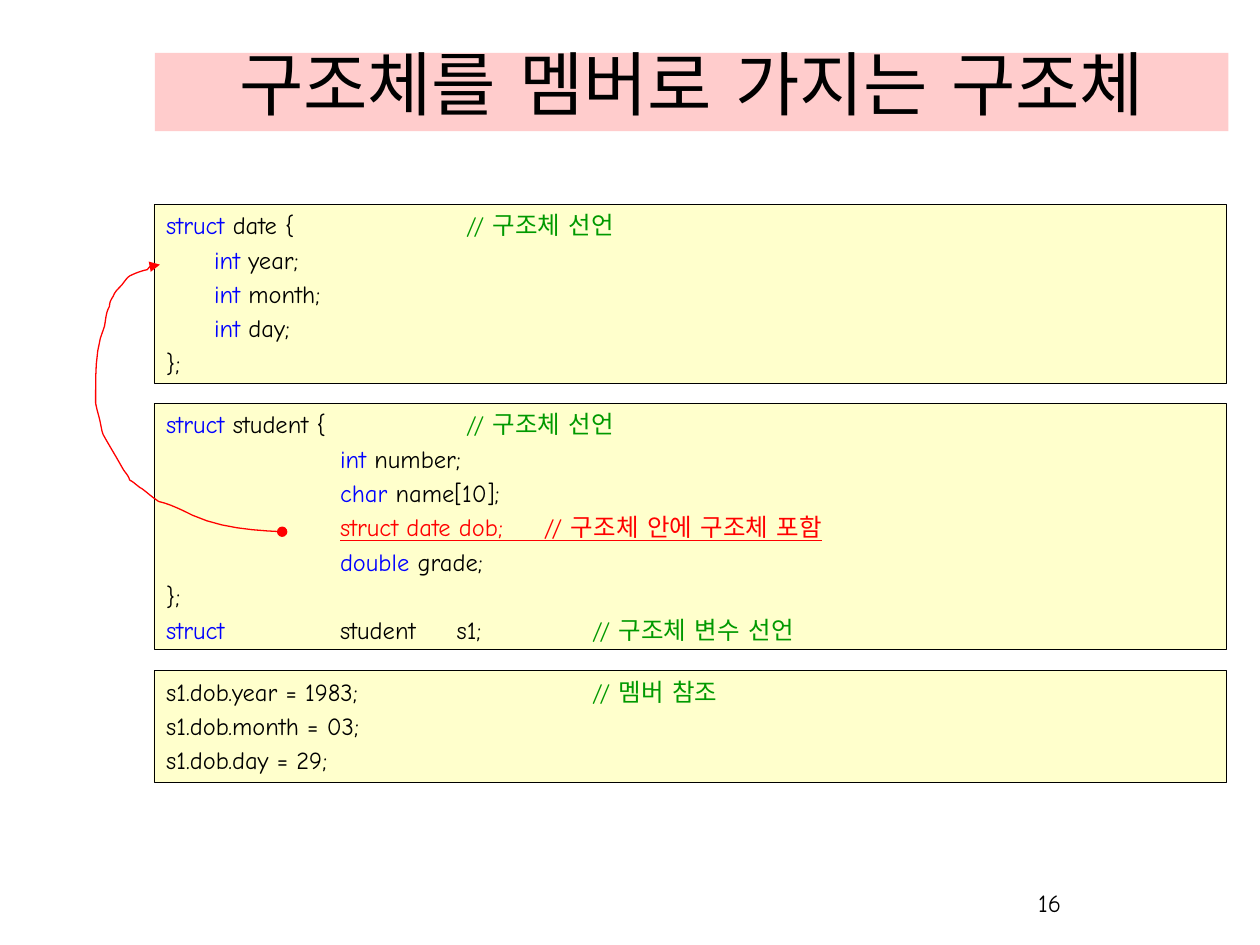
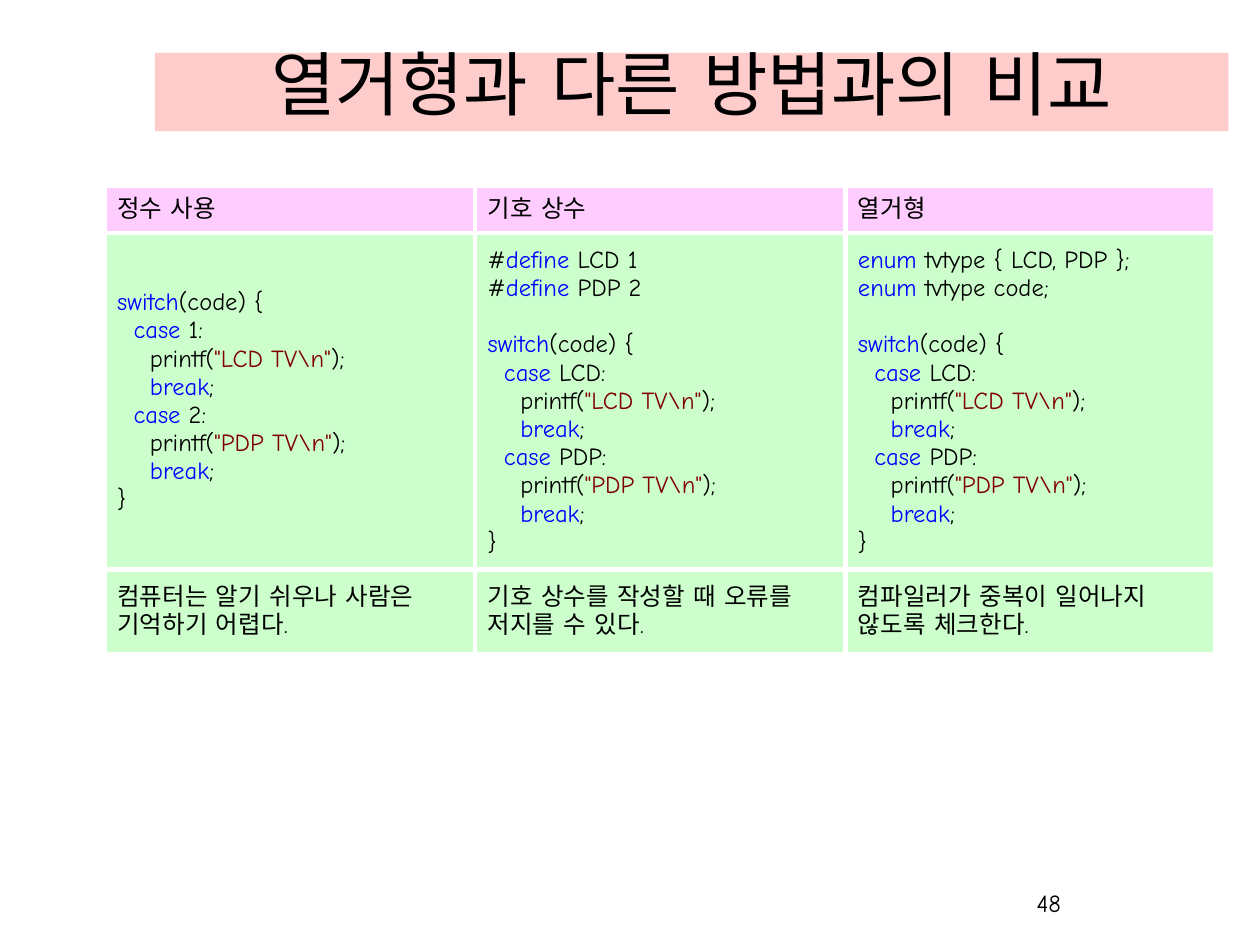
from lxml.etree import SubElement as Sub
from pptx import Presentation
from pptx.dml.color import RGBColor as RGB
from pptx.enum.shapes import MSO_SHAPE as SHAPE
from pptx.enum.text import MSO_ANCHOR as ANCHOR, PP_ALIGN as ALIGN
from pptx.oxml.ns import qn
from pptx.util import Inches, Pt

FONT = "Comic Neue"
BLACK = RGB(0, 0, 0)
BLUE = RGB(0, 0, 255)
GREEN = RGB(0, 153, 0)
MAROON = RGB(128, 0, 0)
RED = RGB(255, 0, 0)
PINK = RGB(255, 204, 204)
CREAM = RGB(255, 255, 204)
LILAC = RGB(255, 204, 255)
MINT = RGB(204, 255, 204)

KEYS = {"struct", "int", "char", "double", "switch", "case", "break", "define", "enum"}
WARN = "struct date dob;"

BOXES = [
    (1.62, 1.42, [
        "struct| date {\t\t|// 구조체 선언",
        "\t|int| year;",
        "\t|int| month;",
        "\t|int| day;",
        "};",
    ]),
    (3.2, 1.95, [
        "struct| student {\t\t|// 구조체 선언",
        "\t\t|int| number;",
        "\t\t|char| name[10];",
        "\t\t|struct date dob;     // 구조체 안에 구조체 포함",
        "\t\t|double| grade;",
        "};",
        "struct|\tstudent     s1;\t|// 구조체 변수 선언",
    ]),
    (5.32, 0.89, [
        "s1.dob.year = 1983;\t\t|// 멤버 참조",
        "s1.dob.month = 03;",
        "s1.dob.day = 29;",
    ]),
]

CURVE = [
    (2.24, 4.22), (2.01, 4.21), (1.75, 4.19), (1.53, 4.09), (1.45, 4.05), (1.35, 4),
    (1.26, 3.98), (1.19, 3.93), (1.23, 3.96), (1.13, 3.88), (1.09, 3.86), (1.07, 3.83),
    (1.03, 3.81), (1.02, 3.77), (0.99, 3.75), (0.97, 3.71), (0.92, 3.62), (0.87, 3.54),
    (0.82, 3.45), (0.81, 3.43), (0.8, 3.37), (0.8, 3.37), (0.79, 3.31), (0.77, 3.26),
    (0.76, 3.2), (0.76, 3.01), (0.75, 2.77), (0.83, 2.59), (0.84, 2.54), (0.84, 2.48),
    (0.87, 2.43), (0.87, 2.4), (0.88, 2.38), (0.9, 2.35), (0.91, 2.32), (0.93, 2.3),
    (0.96, 2.27), (0.98, 2.25), (1, 2.21), (1.03, 2.19), (1.07, 2.17), (1.12, 2.15),
    (1.17, 2.14), (1.2, 2.1), (1.21, 2.1), (1.27, 2.1),
]
STEPS = 6

HEADS = ["정수 사용", "기호 상수", "열거형"]
CODES = [
    ([], "1", "2"),
    (["#|define| LCD 1", "#|define| PDP 2"], "LCD", "PDP"),
    (["enum| tvtype { LCD, PDP };", "enum| tvtype code;"], "LCD", "PDP"),
]
NOTES = [
    "컴퓨터는 알기 쉬우나 사람은 기억하기 어렵다.",
    "기호 상수를 작성할 때 오류를 저지를 수 있다.",
    "컴파일러가 중복이 일어나지 않도록 체크한다.",
]
ROWS = [0.38, 2.67, 0.67]
COL = 2.94
STEP = 0.13
GAP = Pt(16.1)


def tint(part):
    if part in KEYS:
        return BLUE
    if part.startswith("//"):
        return GREEN
    if part.startswith('"'):
        return MAROON
    return RED if part.startswith(WARN) else BLACK


def write(frame, lines, size=14, align=None):
    frame.word_wrap = True
    for num, line in enumerate(lines):
        para = frame.paragraphs[0] if num == 0 else frame.add_paragraph()
        para.alignment = align
        for part in line.split("|"):
            run = para.add_run()
            run.text = part
            font = run.font
            font.name, font.size = FONT, Pt(size)
            font.color.rgb = tint(part)
            Sub(run._r.get_or_add_rPr(), qn("a:ea"), typeface=FONT)
            if part.startswith(WARN):
                font.underline = True


def indent(para, left, first=0):
    props = para._p.get_or_add_pPr()
    props.set("marL", str(Inches(left)))
    props.set("indent", str(Inches(first)))
    return props


def block(slide, left, top, width, height, fill):
    box = slide.shapes.add_shape(
        SHAPE.RECTANGLE, Inches(left), Inches(top), Inches(width), Inches(height))
    box.shadow.inherit = False
    box.fill.solid()
    box.fill.fore_color.rgb = fill
    box.line.fill.background()
    return box


def start(deck, title, page):
    slide = deck.slides.add_slide(deck.slide_layouts[6])
    frame = block(slide, 1.23, 0.42, 8.52, 0.62, PINK).text_frame
    frame.vertical_anchor = ANCHOR.BOTTOM
    write(frame, [title], 40, ALIGN.CENTER)
    foot = slide.shapes.add_textbox(Inches(6.44), Inches(7), Inches(2.08), Inches(0.5))
    write(foot.text_frame, [page], align=ALIGN.RIGHT)
    return slide


def code_box(slide, top, height, lines):
    box = block(slide, 1.22, top, 8.51, height, CREAM)
    box.line.color.rgb = BLACK
    box.line.width = Pt(0.25)
    frame = box.text_frame
    frame.vertical_anchor = ANCHOR.TOP
    write(frame, lines, align=ALIGN.LEFT)
    for para in frame.paragraphs:
        props = indent(para, 0.38, -0.38)
        props.set("defTabSz", str(Inches(1)))
        Sub(Sub(props, qn("a:spcBef")), qn("a:spcPct"), val="20000")


def bend(ends, t):
    u = 1 - t
    mix = (u ** 3, 3 * u * u * t, 3 * u * t * t, t ** 3)
    return tuple(Inches(sum(m * v for m, v in zip(mix, axis))) for axis in zip(*ends))


def arrow(slide):
    dots = [bend(CURVE[i:i + 4], n / STEPS)
            for i in range(0, len(CURVE) - 1, 3) for n in range(1, STEPS + 1)]
    x, y = CURVE[0]
    form = slide.shapes.build_freeform(Inches(x), Inches(y))
    form.add_line_segments(dots, close=False)
    shape = form.convert_to_shape()
    shape.shadow.inherit = False
    shape.fill.background()
    shape.line.color.rgb = RED
    shape.line.width = Pt(0.75)
    line = shape.element.spPr.find(qn("a:ln"))
    Sub(line, qn("a:headEnd"), type="oval")
    Sub(line, qn("a:tailEnd"), type="triangle")


def switch(one, two):
    code = [(0, "switch|(code) {")]
    for case, kind in ((one, "LCD"), (two, "PDP")):
        code += [(1, f"case| {case}:"),
                 (2, f'printf(|"{kind} TV\\n"|);'),
                 (2, "break|;")]
    return code + [(0, "}")]


def fill_cell(cell, lines, fill):
    props = cell._tc.get_or_add_tcPr()
    for side in "LRTB":
        edge = Sub(props, qn(f"a:ln{side}"), w=str(Pt(3)))
        Sub(Sub(edge, qn("a:solidFill")), qn("a:srgbClr"), val="FFFFFF")
    cell.fill.solid()
    cell.fill.fore_color.rgb = fill
    cell.vertical_anchor = ANCHOR.MIDDLE
    write(cell.text_frame, lines)


def grid(slide):
    table = slide.shapes.add_table(
        len(ROWS), len(HEADS), Inches(0.83), Inches(1.47),
        Inches(COL * len(HEADS)), Inches(sum(ROWS))).table
    table.first_row = table.horz_banding = False
    for row, high in zip(table.rows, ROWS):
        row.height = Inches(high)
    for col, (head, (pre, one, two), note) in enumerate(zip(HEADS, CODES, NOTES)):
        table.columns[col].width = Inches(COL)
        fill_cell(table.cell(0, col), [head], LILAC)
        code = [(0, line) for line in pre] + switch(one, two)
        cell = table.cell(1, col)
        fill_cell(cell, [line for _, line in code], MINT)
        paras = cell.text_frame.paragraphs
        for para, (level, _) in zip(paras, code):
            indent(para, level * STEP)
        if pre:
            paras[len(pre)].space_before = GAP
        fill_cell(table.cell(2, col), [note], MINT)


def main():
    deck = Presentation()
    deck.slide_width, deck.slide_height = Inches(10), Inches(7.5)
    nest = start(deck, "구조체를 멤버로 가지는 구조체", "16")
    for box in BOXES:
        code_box(nest, *box)
    arrow(nest)
    grid(start(deck, "열거형과 다른 방법과의 비교", "48"))
    deck.save("out.pptx")


if __name__ == "__main__":
    main()
